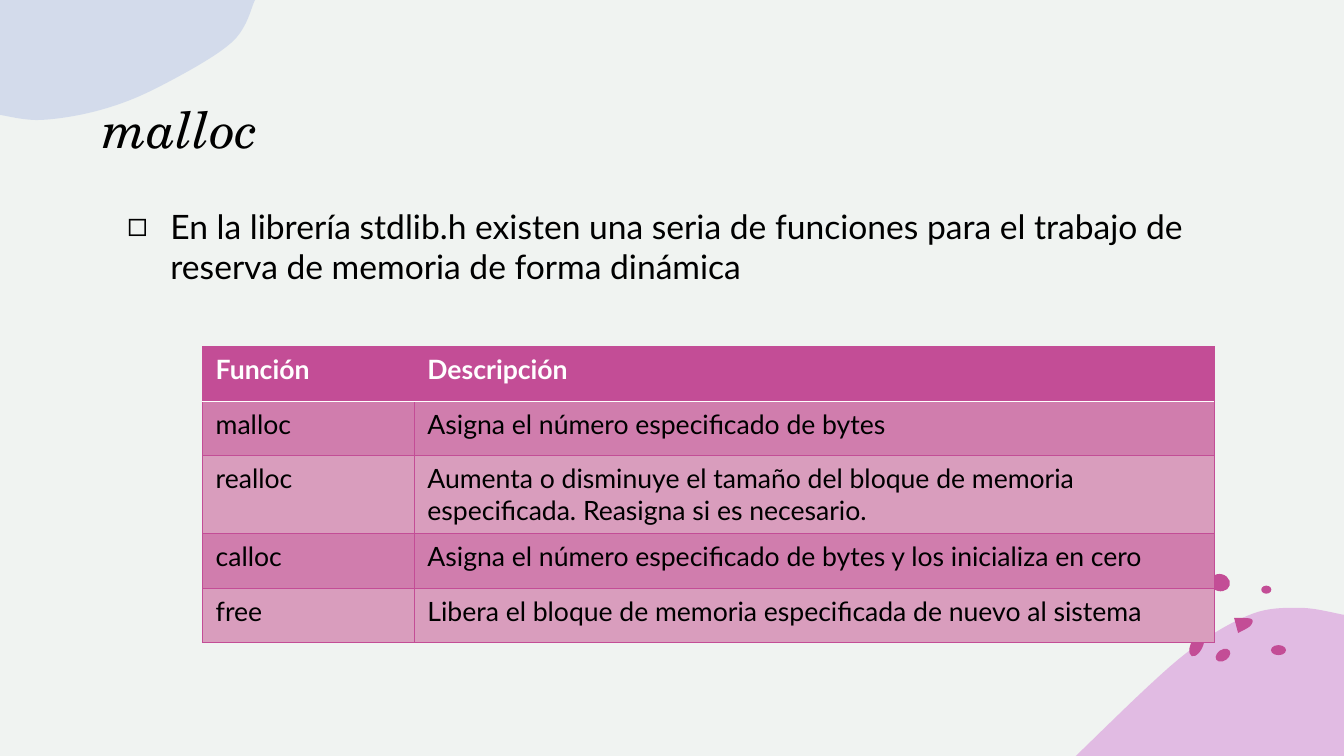
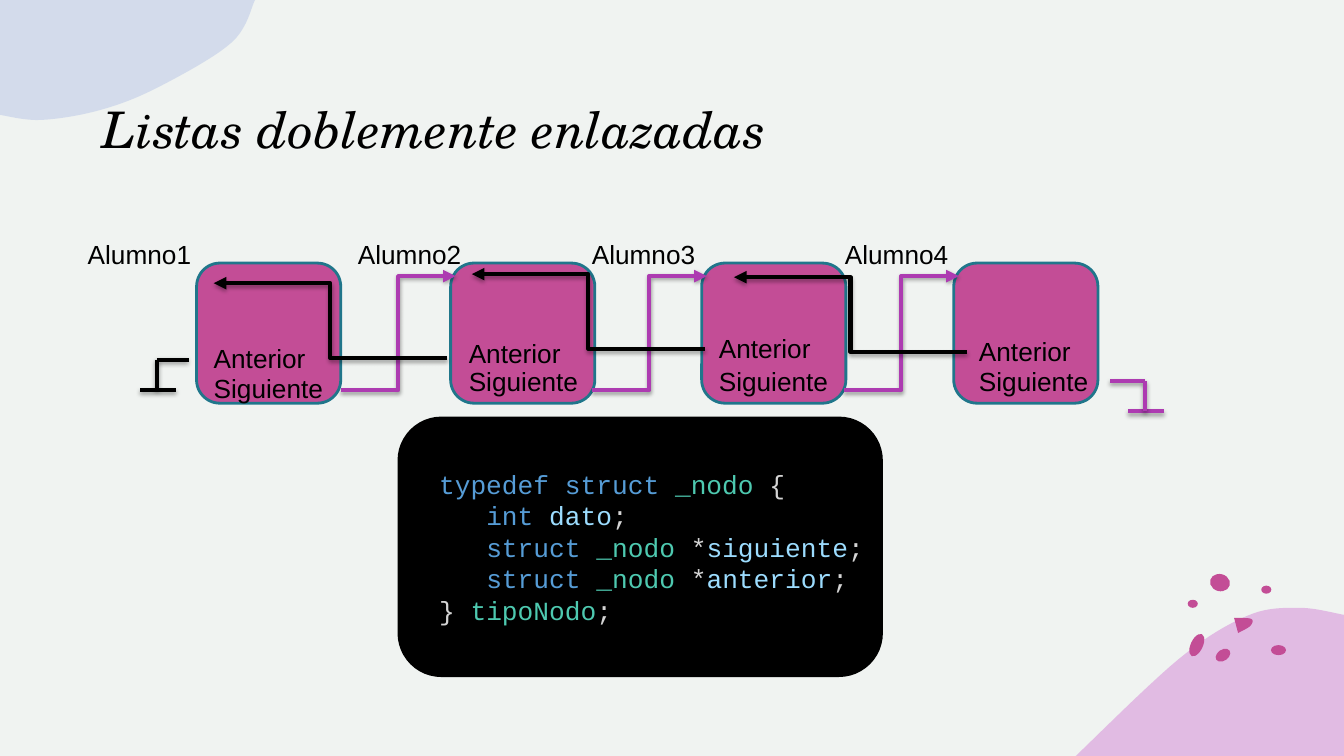
from lxml import etree
from pptx import Presentation
from pptx.dml.color import RGBColor
from pptx.enum.shapes import MSO_CONNECTOR, MSO_SHAPE
from pptx.enum.text import MSO_ANCHOR, MSO_AUTO_SIZE, PP_ALIGN
from pptx.oxml import parse_xml
from pptx.oxml.ns import qn
from pptx.util import Inches, Pt

LEFT = PP_ALIGN.LEFT
BOTTOM, MIDDLE = MSO_ANCHOR.BOTTOM, MSO_ANCHOR.MIDDLE
ROUND, OVAL = MSO_SHAPE.ROUNDED_RECTANGLE, MSO_SHAPE.OVAL
LINE, ELBOW = MSO_CONNECTOR.STRAIGHT, MSO_CONNECTOR.ELBOW
NO_FIT = MSO_AUTO_SIZE.NONE

WIDE, HIGH = 13.33, 7.5
PAPER, BLACK, WHITE = "F0F3F1", "000000", "FFFFFF"
PINK, LILAC, BLUE = "C34D96", "D384D6", "B8C5E7"
PURPLE, TEAL = "AD3BB1", "20768B"
BANDS = ["D07DAD", "D99DBD"]
HEAD, BODY, LABEL, MONO = "TeX Gyre Schola", "Lato", "Arial", "Courier New"
SMALL = 18.7

# Corner shapes: colour, points of the curved side, corner
CORNERS = [
    (LILAC, [(10.67, HIGH), (11.69, 6.54), (12.37, 6.11), (12.88, 6.03),
             (WIDE, 6.1)], (WIDE, HIGH)),
    (BLUE, [(2.53, 0), (2.3, 0.42), (1.58, 0.86), (1, 1.09), (0.41, 1.19),
            (0, 1.14)], (0, 0)),
]
# Pebbles: centre, size, turn
PEBBLES = [
    (12.13, 6.5, 0.16, 0.11, -35),
    (11.87, 6.4, 0.12, 0.24, 25),
    (12.68, 6.45, 0.15, 0.1, 0),
    (12.1, 5.78, 0.2, 0.17, 15),
    (12.56, 5.85, 0.1, 0.08, 0),
    (11.83, 5.99, 0.1, 0.08, 0),
]
CHIP = [(12.24, 6.13), (12.41, 6.14), (12.4, 6.21), (12.28, 6.28)]

INTRO = ("En la librería stdlib.h existen una seria de funciones para el "
         "trabajo de reserva de memoria de forma dinámica")
ROWS = [
    ("Función", "Descripción"),
    ("malloc", "Asigna el número especificado de bytes"),
    ("realloc", "Aumenta o disminuye el tamaño del bloque de memoria "
                "especificada. Reasigna si es necesario."),
    ("calloc", "Asigna el número especificado de bytes y los inicializa en cero"),
    ("free", "Libera el bloque de memoria especificada de nuevo al sistema"),
]
WIDTHS, ROW, TALL = [2.1, 7.93], 0.54, 0.76

# Box left, name left, link text left, tops of "Anterior" and "Siguiente"
NODES = [
    (1.95, 0.74, 1.99, 3.33, 3.62),
    (4.47, 3.42, 4.52, 3.28, 3.55),
    (6.96, 5.74, 7, 3.23, 3.55),
    (9.46, 8.25, 9.58, 3.26, 3.55),
]
BACK = [(4.43, 3.55), (6.99, 3.46), (9.59, 3.49)]
# Colour, stem position, length of the arm
GROUNDS = [(PURPLE, 11.36, 3.78, -0.35), (BLACK, 1.56, 3.57, 0.31)]

KEY, TYPE, NAME, SIGN = "569CD6", "4EC9B0", "9CDCFE", "D4D4D4"
CODE = [
    [("typedef struct ", KEY), ("_nodo", TYPE), (" {", SIGN)],
    [("   ", SIGN), ("int ", KEY), ("dato", NAME), (";", SIGN)],
] + [
    [("   ", SIGN), ("struct ", KEY), ("_nodo", TYPE), (" *", SIGN),
     (name, NAME), (";", SIGN)] for name in ("siguiente", "anterior")
] + [[("} ", SIGN), ("tipoNodo", TYPE), (";", SIGN)]]


def rgb(tone):
    return RGBColor.from_string(tone)


def paint(fill, tone):
    fill.solid()
    fill.fore_color.rgb = rgb(tone)


def write(para, text, size, face, tone=BLACK, bold=False, italic=False):
    run = para.add_run()
    run.text = text
    font = run.font
    font.size, font.name, font.bold, font.italic = Pt(size), face, bold, italic
    font.color.rgb = rgb(tone)


def inset(box):
    box.margin_left = box.margin_right = Inches(0.13)
    box.margin_top = box.margin_bottom = Inches(0.07)


def place(shape, left, top, width, height):
    shape.left, shape.top = Inches(left), Inches(top)
    shape.width, shape.height = Inches(width), Inches(height)
    frame = shape.text_frame
    frame.auto_size, frame.word_wrap = NO_FIT, True
    inset(frame)
    return frame


def smooth(points, steps=10):
    """Return a dense curve that passes through the points."""
    ends = [points[0], *points, points[-1]]
    curve = [points[0]]
    for quad in zip(ends, ends[1:], ends[2:], ends[3:]):
        for step in range(1, steps + 1):
            t = step / steps
            curve.append(tuple(
                b + t * (c - a + t * (2 * a - 5 * b + 4 * c - d
                                      + t * (3 * b - a - 3 * c + d))) / 2
                for a, b, c, d in zip(*quad)))
    return curve


def plain(shape, tone):
    shape.shadow.inherit = False
    paint(shape.fill, tone)
    shape.line.fill.background()
    return shape


def outline(slide, tone, points):
    spots = [(Inches(x), Inches(y)) for x, y in points]
    pen = slide.shapes.build_freeform(*spots[0])
    pen.add_line_segments(spots[1:], close=True)
    return plain(pen.convert_to_shape(), tone)


def decorate(master, slide):
    """Draw the background shapes on a slide, then move them to the master."""
    paint(master.background.fill, PAPER)
    decor = []
    for tone, side, corner in CORNERS:
        shape = outline(slide, tone, smooth(side) + [corner])
        color = shape.element.spPr.find(qn("a:solidFill"))[0]
        etree.SubElement(color, qn("a:alpha"), val="50000")
        decor.append(shape)
    for x, y, width, height, turn in PEBBLES:
        shape = slide.shapes.add_shape(
            OVAL, Inches(x - width / 2), Inches(y - height / 2),
            Inches(width), Inches(height))
        shape.rotation = turn
        decor.append(plain(shape, PINK))
    decor.append(outline(slide, PINK, smooth(CHIP)))
    for i, shape in enumerate(decor):
        node = shape.element
        node.nvSpPr.cNvPr.set("id", str(20 + i))
        master.shapes.element.insert(2 + i, node)


def title(slide, text):
    frame = place(slide.shapes.title, 0.89, 0.17, 11.89, 1.47)
    frame.vertical_anchor = BOTTOM
    para = frame.paragraphs[0]
    para.alignment = LEFT
    write(para, text, 36, HEAD, italic=True)


def bullet(shape, text):
    para = place(shape, 0.89, 1.97, 11.89, 1.2).paragraphs[0]
    props = para._p.get_or_add_pPr()
    props.set("marL", str(Inches(0.67)))
    props.set("indent", str(Inches(-0.43)))
    etree.SubElement(props, qn("a:buChar"), char="◻")
    para.space_before = Pt(0)
    write(para, text, 24, BODY)


def edge(cell, side, tone, width):
    line = etree.SubElement(cell._tc.get_or_add_tcPr(), qn("a:ln" + side),
                            w=str(Pt(width)))
    fill = etree.SubElement(line, qn("a:solidFill"))
    etree.SubElement(fill, qn("a:srgbClr"), val=tone)


def grid(slide):
    table = slide.shapes.add_table(
        len(ROWS), len(WIDTHS), Inches(2.01), Inches(3.44),
        Inches(sum(WIDTHS)), Inches(ROW * 4 + TALL)).table
    table.horz_banding = False
    for col, width in zip(table.columns, WIDTHS):
        col.width = Inches(width)
    for r, row in enumerate(ROWS):
        table.rows[r].height = Inches(TALL if r == 2 else ROW)
        for c, text in enumerate(row):
            cell = table.cell(r, c)
            inset(cell)
            for side in "LRTB":
                rule = (r, side) in [(0, "B"), (1, "T")]
                edge(cell, side, *((WHITE, 1) if rule else (PINK, 0.5)))
            paint(cell.fill, BANDS[(r - 1) % 2] if r else PINK)
            write(cell.text_frame.paragraphs[0], text, 19, BODY,
                  BLACK if r else WHITE, bold=r == 0)


def panel(slide, left, top, width, height, fill, line, weight):
    shape = slide.shapes.add_shape(ROUND, Inches(left), Inches(top),
                                   Inches(width), Inches(height))
    shape.shadow.inherit = False
    paint(shape.fill, fill)
    shape.line.color.rgb, shape.line.width = rgb(line), Pt(weight)
    return shape


def link(slide, kind, tone, start, end, arrow=False):
    line = slide.shapes.add_connector(kind, *map(Inches, start + end))
    line.line.color.rgb, line.line.width = rgb(tone), Pt(3)
    props = line.element.spPr
    if arrow:
        etree.SubElement(props.find(qn("a:ln")), qn("a:tailEnd"), type="triangle")
    props.append(parse_xml(
        '<a:effectLst xmlns:a="http://schemas.openxmlformats.org/drawingml/2006/main">'
        f'<a:outerShdw blurRad="{Pt(3.1)}" dist="{Pt(1.8)}" dir="5400000" '
        f'rotWithShape="0"><a:srgbClr val="{BLACK}"><a:alpha val="35000"/>'
        '</a:srgbClr></a:outerShdw></a:effectLst>'))


def label(slide, text, left, top):
    box = slide.shapes.add_textbox(0, 0, 0, 0)
    write(place(box, left, top, 1.43, 0.45).paragraphs[0], text, SMALL, LABEL)


def listing(slide):
    frame = panel(slide, 3.95, 4.14, 4.8, 2.57, BLACK, BLACK, 1).text_frame
    frame.word_wrap, frame.vertical_anchor = True, MIDDLE
    frame.margin_left, frame.margin_right = Inches(0.28), 0
    for i, row in enumerate(CODE):
        para = frame.add_paragraph() if i else frame.paragraphs[0]
        para.alignment, para.line_spacing = LEFT, Pt(22.5)
        for text, tone in row:
            write(para, text, SMALL, MONO, tone)


def chain(slide):
    for left, *_ in NODES:
        panel(slide, left, 2.61, 1.43, 1.39, PINK, TEAL, 2)
    for left, *_ in NODES[1:]:
        tip = left + 0.05
        link(slide, ELBOW, PURPLE, (tip - 1.14, 3.87), (tip, 2.74), True)
    for i, (_, name, left, prev, following) in enumerate(NODES, 1):
        label(slide, f"Alumno{i}", name, 2.29)
        label(slide, "Anterior", left, prev)
        label(slide, "Siguiente", left, following)
    for tone, x, y, arm in GROUNDS:
        base = y + 0.3
        link(slide, LINE, tone, (x + arm, y), (x, y))
        link(slide, LINE, tone, (x - 0.17, base), (x + 0.19, base))
        link(slide, LINE, tone, (x, base), (x, y))
    for x, y in BACK:
        link(slide, ELBOW, BLACK, (x, y), (x - 2.31, y - 0.74), True)


def main():
    deck = Presentation()
    deck.slide_width, deck.slide_height = Inches(WIDE), Inches(HIGH)
    first = deck.slides.add_slide(deck.slide_layouts[1])
    decorate(deck.slide_master, first)
    title(first, "malloc")
    bullet(first.placeholders[1], INTRO)
    grid(first)

    second = deck.slides.add_slide(deck.slide_layouts[5])
    title(second, "Listas doblemente enlazadas")
    listing(second)
    chain(second)
    deck.save("out.pptx")


if __name__ == "__main__":
    main()
